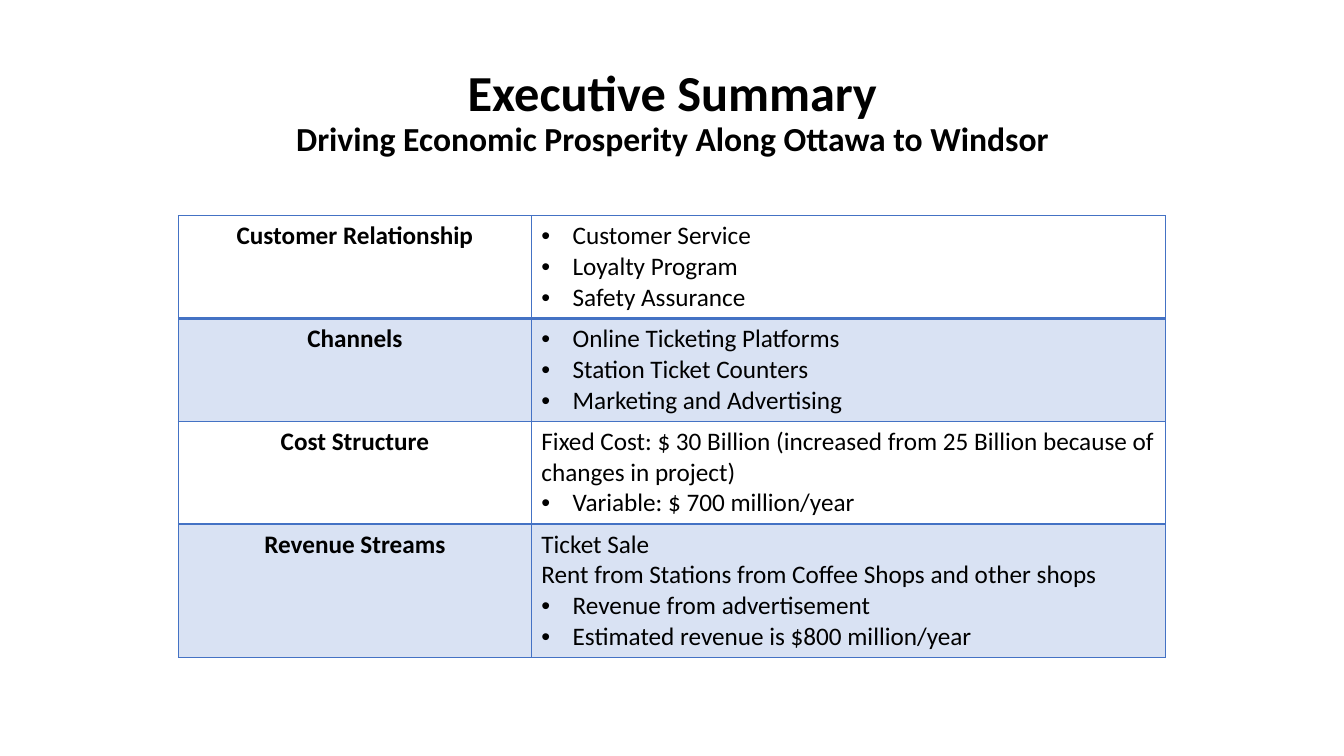
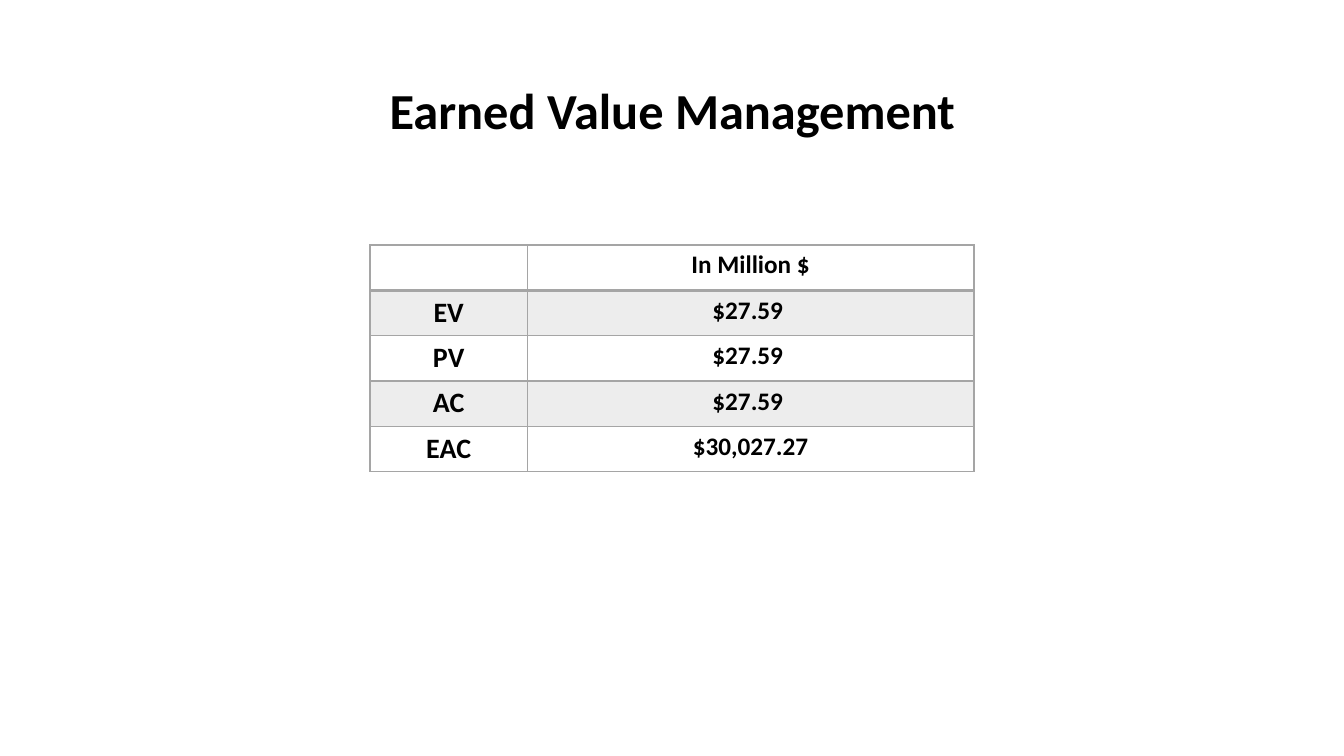
from lxml import etree
from pptx import Presentation
from pptx.dml.color import RGBColor
from pptx.enum.text import MSO_ANCHOR as ANCHOR, PP_ALIGN as ALIGN
from pptx.oxml.ns import qn
from pptx.util import Inches, Pt

FONT = "Calibri"
BLACK, WHITE, BLUE, GRAY = "000000", "FFFFFF", "4472C4", "A5A5A5"
TITLE_BOX = (0.92, 0.4, 11.5, 1.45)
TINT = 20

SUMMARY = [
    ("Customer Relationship", [],
     ["Customer Service", "Loyalty Program", "Safety Assurance"]),
    ("Channels", [],
     ["Online Ticketing Platforms", "Station Ticket Counters", "Marketing and Advertising"]),
    ("Cost Structure",
     ["Fixed Cost: $ 30 Billion (increased from 25 Billion because of changes in project)"],
     ["Variable: $ 700 million/year"]),
    ("Revenue Streams",
     ["Ticket Sale", "Rent from Stations from Coffee Shops and other shops"],
     ["Revenue from advertisement", "Estimated revenue is $800 million/year"]),
]
EARNED_VALUE = [
    ("", "In Million $"),
    ("EV", "$27.59 "),
    ("PV", "$27.59 "),
    ("AC", "$27.59 "),
    ("EAC", "$30,027.27"),
]


def rgb(value):
    """Return the colour for a hex string."""
    return RGBColor.from_string(value)


def style_run(r, size, bold=True):
    """Give a run the deck's font."""
    r.font.name, r.font.size, r.font.bold = FONT, Pt(size), bold
    r.font.color.rgb = rgb(BLACK)


def add_title(slide, box, title, subtitle=None):
    """Place a centred title with an optional smaller second line."""
    tf = slide.shapes.add_textbox(*map(Inches, box)).text_frame
    tf.word_wrap = True
    tf.vertical_anchor = ANCHOR.MIDDLE
    p = tf.paragraphs[0]
    p.text = f"{title}\v{subtitle}" if subtitle else title
    p.alignment, p.line_spacing = ALIGN.CENTER, 0.9
    for r, size in zip(p.runs, (36, 24)):
        style_run(r, size)


def add_bullet(p, indent=0.31):
    """Turn a paragraph into a hanging bullet."""
    pPr = p._p.get_or_add_pPr()
    pPr.set("marL", str(Inches(indent)))
    pPr.set("indent", str(-Inches(indent)))
    etree.SubElement(pPr, qn("a:buFont")).set("typeface", "Arial")
    etree.SubElement(pPr, qn("a:buChar")).set("char", "•")


def set_border(cell, side, color, width):
    """Draw one side of a cell."""
    ln = etree.SubElement(cell._tc.get_or_add_tcPr(), qn(f"a:ln{side}"), w=str(Pt(width)))
    fill = etree.SubElement(ln, qn("a:solidFill"))
    etree.SubElement(fill, qn("a:srgbClr"), val=color)


def style_cell(cell, row, color):
    """Give a cell its grid lines and banded fill."""
    widths = {"L": 1, "R": 1, "T": 2 if row == 1 else 1, "B": 2 if row == 0 else 1}
    for side, width in widths.items():
        set_border(cell, side, color, width)
    cell.fill.solid()
    cell.fill.fore_color.rgb = rgb(color if row % 2 else WHITE)
    if row % 2:
        clr = cell._tc.tcPr.find(qn("a:solidFill")).find(qn("a:srgbClr"))
        etree.SubElement(clr, qn("a:alpha"), val=str(TINT * 1000))


def add_grid(slide, left, top, widths, heights, color):
    """Place an empty banded table and return it."""
    box = (left, top, sum(widths), sum(heights))
    table = slide.shapes.add_table(len(heights), len(widths), *map(Inches, box)).table
    table.first_row = table.horz_banding = False
    for column, width in zip(table.columns, widths):
        column.width = Inches(width)
    for i, height in enumerate(heights):
        table.rows[i].height = Inches(height)
        for cell in table.rows[i].cells:
            style_cell(cell, i, color)
    return table


def fill_label(cell, text, size=18):
    """Write a bold centred label in a cell."""
    p = cell.text_frame.paragraphs[0]
    p.text, p.alignment = text, ALIGN.CENTER
    for r in p.runs:
        style_run(r, size)


def fill_points(cell, plain, bullets):
    """Write plain lines and then bulleted lines in a cell."""
    tf = cell.text_frame
    tf.text = "\n".join(plain + bullets)
    for i, p in enumerate(tf.paragraphs):
        if i >= len(plain):
            add_bullet(p)
        style_run(p.runs[0], 18, bold=False)


def summary_slide(slide):
    """Build the executive summary."""
    add_title(slide, TITLE_BOX, "Executive Summary",
              "Driving Economic Prosperity Along Ottawa to Windsor")
    table = add_grid(slide, 1.77, 2.14, (3.5, 6.29), (1.02, 1.02, 1.02, 1.32), BLUE)
    for i, (label, plain, bullets) in enumerate(SUMMARY):
        fill_label(table.cell(i, 0), label)
        fill_points(table.cell(i, 1), plain, bullets)


def earned_value_slide(slide):
    """Build the earned value table."""
    add_title(slide, TITLE_BOX, "Earned Value Management")
    table = add_grid(slide, 3.67, 2.43, (1.56, 4.43), [0.45] * len(EARNED_VALUE), GRAY)
    for i, (label, amount) in enumerate(EARNED_VALUE):
        fill_label(table.cell(i, 0), label, 20)
        fill_label(table.cell(i, 1), amount)


def main():
    """Build and save the deck."""
    prs = Presentation()
    prs.slide_width, prs.slide_height = Inches(13.33), Inches(7.5)
    for build in (summary_slide, earned_value_slide):
        build(prs.slides.add_slide(prs.slide_layouts[6]))
    prs.save("out.pptx")


if __name__ == "__main__":
    main()
